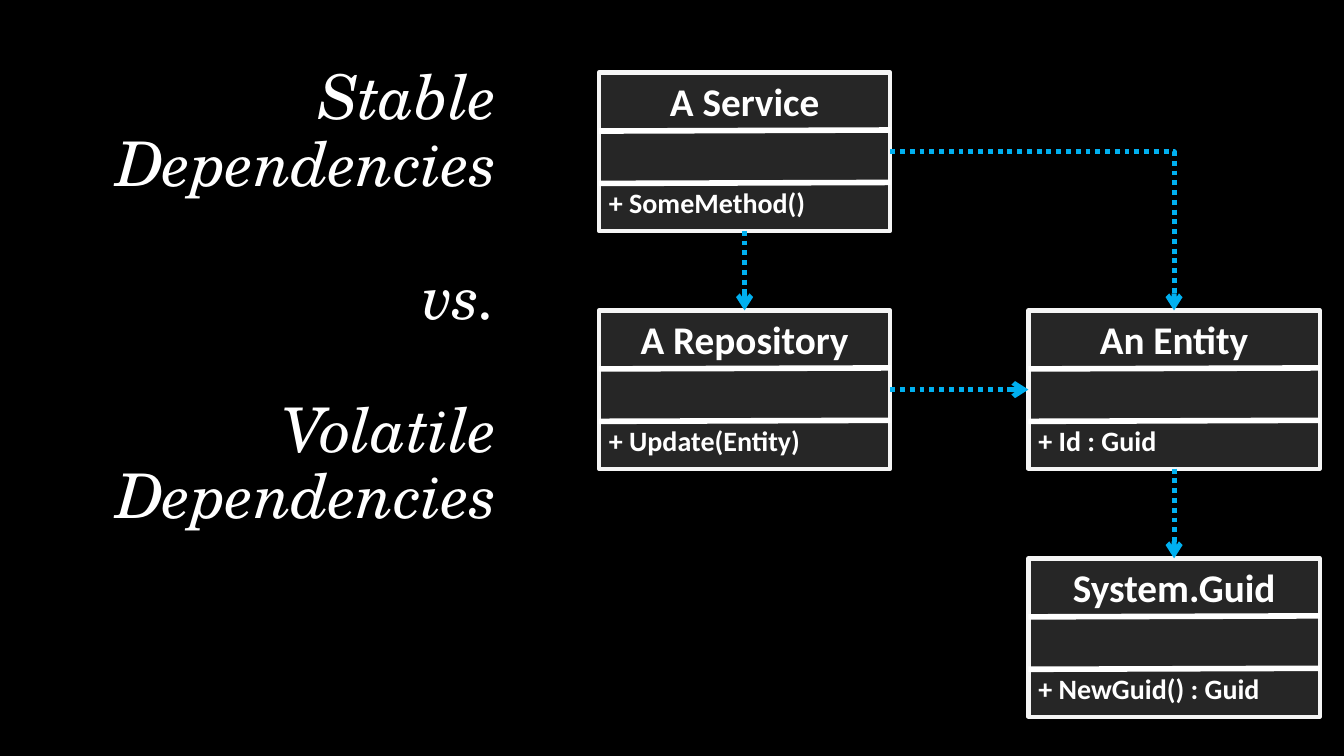
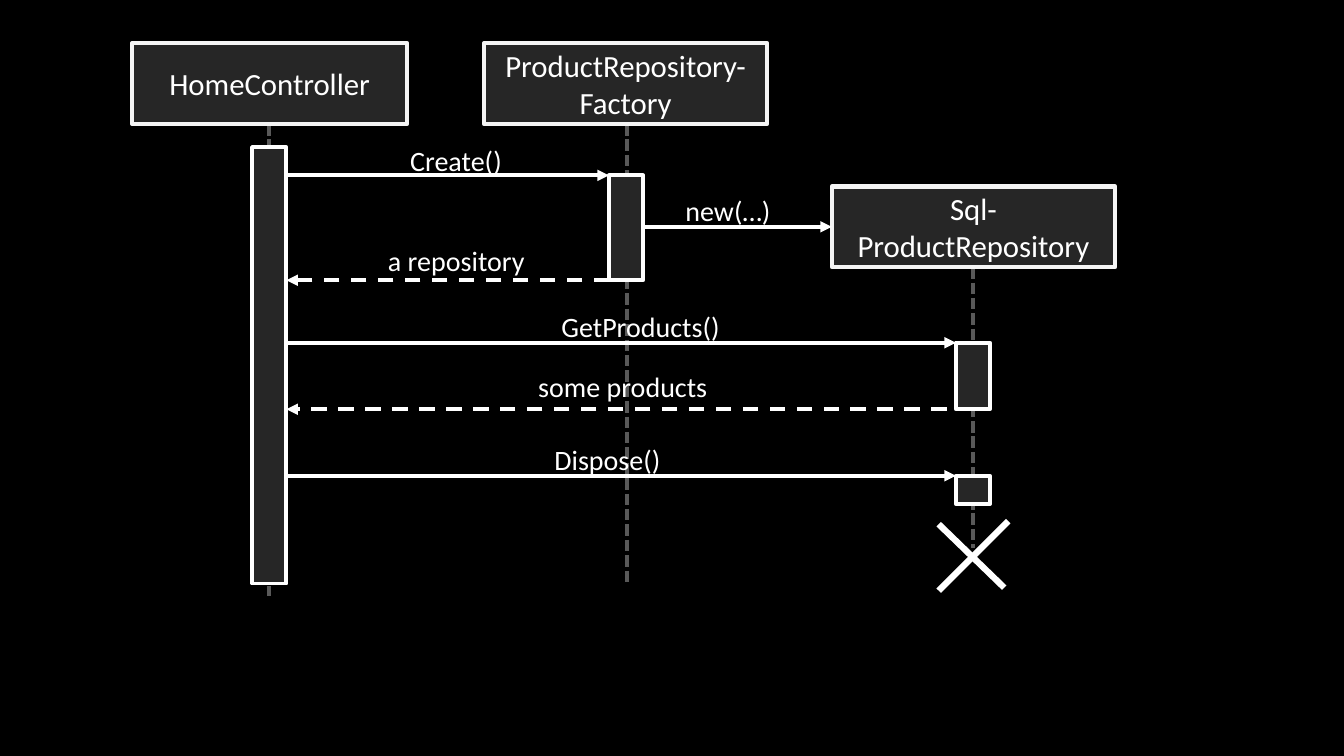
from dataclasses import dataclass

from lxml.etree import SubElement
from pptx import Presentation
from pptx.dml.color import RGBColor
from pptx.enum.dml import MSO_LINE
from pptx.enum.shapes import MSO_CONNECTOR, MSO_SHAPE
from pptx.enum.text import MSO_ANCHOR, PP_ALIGN
from pptx.oxml.ns import qn
from pptx.util import Emu, Pt


@dataclass(frozen=True)
class Theme:
    background: str = "000000"
    panel: str = "262626"
    outline: str = "F5F5F5"
    ink: str = "FFFFFF"
    dependency: str = "00B0F0"
    lifeline: str = "595959"
    body_font: str = "Calibri"
    title_font: str = "TeX Gyre Schola"
    title_size: int = 44
    class_size: int = 28
    participant_size: int = 22
    label_size: int = 20
    outline_width: float = 3
    message_width: float = 2.75
    divider_width: float = 4
    dependency_width: float = 3.5
    cross_width: float = 4.5


THEME = Theme()
EMU_PER_PX = 9144  # 100 px to the inch
TOP, LEFT, BOTTOM, RIGHT = range(4)  # connection sites of a rectangle

CLASS_WIDTH, CLASS_HEIGHT = 289, 157
LABEL_HEIGHT = 44
PARTICIPANT_HEIGHT = 80
BAR_WIDTH = 34


def px(*lengths):
    return [Emu(length * EMU_PER_PX) for length in lengths]


def rgb(color):
    return RGBColor.from_string(color)


# Building blocks
def write_text(frame, text, size, font=THEME.body_font, color=THEME.ink, bold=False,
               italic=False, align=PP_ALIGN.LEFT, anchor=MSO_ANCHOR.TOP,
               line_spacing=None, gap=0):
    """Newlines separate paragraphs; vertical tabs break lines."""
    frame.word_wrap = True
    frame.vertical_anchor = anchor
    frame.text = text
    for index, paragraph in enumerate(frame.paragraphs):
        paragraph.alignment = align
        paragraph.line_spacing = line_spacing
        paragraph.space_before = Pt(gap if index else 0)
        for run in paragraph.runs:
            run.font.size = Pt(size)
            run.font.name = font
            run.font.bold = bold
            run.font.italic = italic
            run.font.color.rgb = rgb(color)


def add_label(shapes, box, text, size=THEME.label_size, **text_format):
    label = shapes.add_textbox(*px(*box))
    write_text(label.text_frame, text, size, **text_format)


def add_panel(shapes, box, outline=THEME.outline, width=THEME.outline_width):
    panel = shapes.add_shape(MSO_SHAPE.RECTANGLE, *px(*box))
    panel.shadow.inherit = False
    panel.fill.solid()
    panel.fill.fore_color.rgb = rgb(THEME.panel)
    panel.line.color.rgb = rgb(outline)
    panel.line.width = Pt(width)
    return panel


def add_line(shapes, start, end, color=THEME.ink, width=THEME.message_width,
             dash=None, arrow=None, kind=MSO_CONNECTOR.STRAIGHT):
    connector = shapes.add_connector(kind, *px(*start, *end))
    connector.line.color.rgb = rgb(color)
    connector.line.width = Pt(width)
    connector.line.dash_style = dash
    properties = connector._element.spPr
    if arrow:
        SubElement(properties.find(qn("a:ln")), qn("a:tailEnd"), type=arrow)
    SubElement(properties, qn("a:effectLst"))
    return connector


def add_slide(deck):
    slide = deck.slides.add_slide(deck.slide_layouts[6])
    slide.background.fill.solid()
    slide.background.fill.fore_color.rgb = rgb(THEME.background)
    return slide.shapes


# Class diagram
def add_class(shapes, left, top, name, member):
    members = shapes.add_group_shape().shapes
    panel = add_panel(members, (left, top, CLASS_WIDTH, CLASS_HEIGHT))
    add_label(members, (left, top, CLASS_WIDTH, 57), name, THEME.class_size,
              bold=True, align=PP_ALIGN.CENTER)
    add_label(members, (left, top + 107, CLASS_WIDTH, LABEL_HEIGHT), member, bold=True)
    for offset in (58, 110):
        add_line(members, (left, top + offset), (left + CLASS_WIDTH, top + offset - 1),
                 width=THEME.divider_width)
    return panel


def add_dependency(shapes, source, source_site, target, target_site, bent=False):
    connector = add_line(shapes, (0, 0), (0, 0), THEME.dependency, THEME.dependency_width,
                         MSO_LINE.ROUND_DOT, "arrow",
                         MSO_CONNECTOR.ELBOW if bent else MSO_CONNECTOR.STRAIGHT)
    connector.begin_connect(source, source_site)
    connector.end_connect(target, target_site)
    if bent:  # a single corner
        connector._element.spPr.find(qn("a:prstGeom")).set("prst", "bentConnector2")


def build_dependencies(deck):
    shapes = add_slide(deck)
    add_label(shapes, (34, 61, 469, 542),
              "Stable\vDependencies\nvs.\nVolatile\vDependencies",
              THEME.title_size, font=THEME.title_font, italic=True,
              align=PP_ALIGN.RIGHT, line_spacing=0.9, gap=47.5)

    near, far = 594, 1020
    upper, middle, lower = 72, 308, 554
    repository = add_class(shapes, near, middle, "A Repository", "+ Update(Entity)")
    service = add_class(shapes, near, upper, "A Service", "+ SomeMethod()")
    entity = add_class(shapes, far, middle, "An Entity", "+ Id : Guid")
    guid = add_class(shapes, far, lower, "System.Guid", "+ NewGuid() : Guid")

    add_dependency(shapes, service, BOTTOM, repository, TOP)
    add_dependency(shapes, service, RIGHT, entity, TOP, bent=True)
    add_dependency(shapes, repository, RIGHT, entity, LEFT)
    add_dependency(shapes, entity, BOTTOM, guid, TOP)


# Sequence diagram
def add_participant(shapes, left, top, width, name):
    panel = add_panel(shapes, (left, top, width, PARTICIPANT_HEIGHT))
    write_text(panel.text_frame, name, THEME.participant_size,
               align=PP_ALIGN.CENTER, anchor=MSO_ANCHOR.MIDDLE)


def add_message(shapes, start, end, y, text, text_left, text_top, reply=False):
    add_line(shapes, (start, y), (end, y), arrow="triangle",
             dash=MSO_LINE.DASH if reply else None)
    add_label(shapes, (text_left, text_top, 197, LABEL_HEIGHT), text)


def add_cross(shapes, left, top, size):
    strokes = shapes.add_group_shape().shapes
    right, bottom = left + size, top + size
    add_line(strokes, (left, bottom), (right, top), width=THEME.cross_width)
    add_line(strokes, (right - 4, bottom - 3), (left, top + 3), width=THEME.cross_width)


def build_sequence(deck):
    shapes = add_slide(deck)
    controller, factory, repository = 250, 604, 948  # left edges of the bars

    # Lifelines
    for x, top, bottom in ((267, 123, 591), (622, 123, 578), (965, 265, 544)):
        add_line(shapes, (x, top), (x, bottom), THEME.lifeline, dash=MSO_LINE.SQUARE_DOT)

    # Participants
    add_participant(shapes, 131, 43, 273, "HomeController")
    add_participant(shapes, 480, 43, 281, "ProductRepository-\vFactory")
    add_participant(shapes, 825, 185, 281, "Sql-\vProductRepository")

    # Activation bars
    for left, top, height in ((controller, 146, 433), (factory, 174, 104),
                              (repository, 340, 66), (repository, 472, 28)):
        add_panel(shapes, (left, top, BAR_WIDTH, height), THEME.ink, THEME.message_width)

    # Messages
    home = controller + BAR_WIDTH
    add_message(shapes, home, factory, 174, "Create()", 397, 137)
    add_message(shapes, factory + BAR_WIDTH, 825, 225, "new(…)", 670, 187)
    add_message(shapes, factory, home, 278, "a repository", 375, 237, reply=True)
    add_message(shapes, home, repository, 340, "GetProducts()", 547, 302)
    add_message(shapes, 939, home, 406, "some products", 524, 362, reply=True)
    add_message(shapes, home, repository, 472, "Dispose()", 540, 434)

    add_cross(shapes, 931, 517, 69)


def main():
    deck = Presentation()
    deck.slide_width, deck.slide_height = px(1333, 750)
    build_dependencies(deck)
    build_sequence(deck)
    deck.save("out.pptx")


if __name__ == "__main__":
    main()
